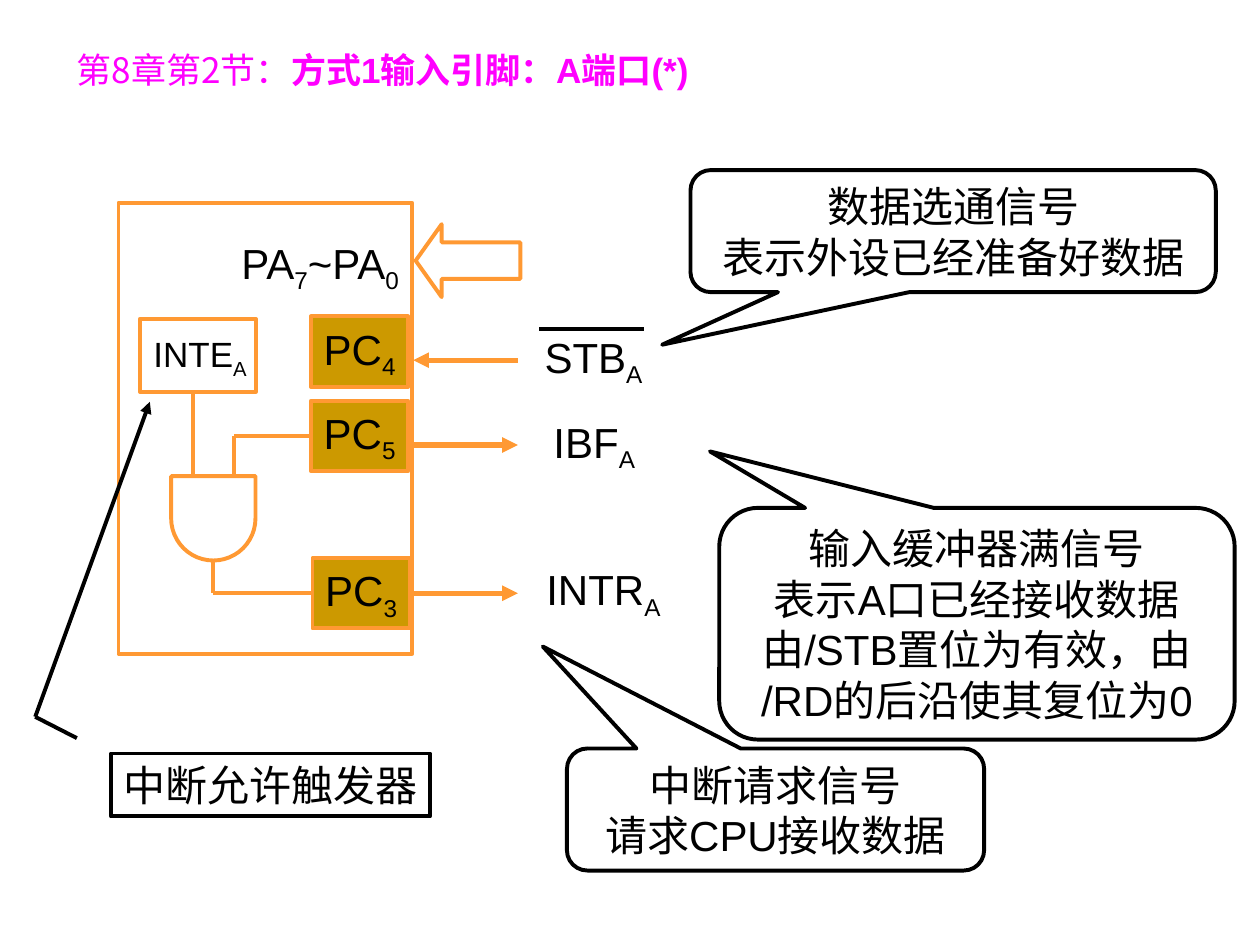
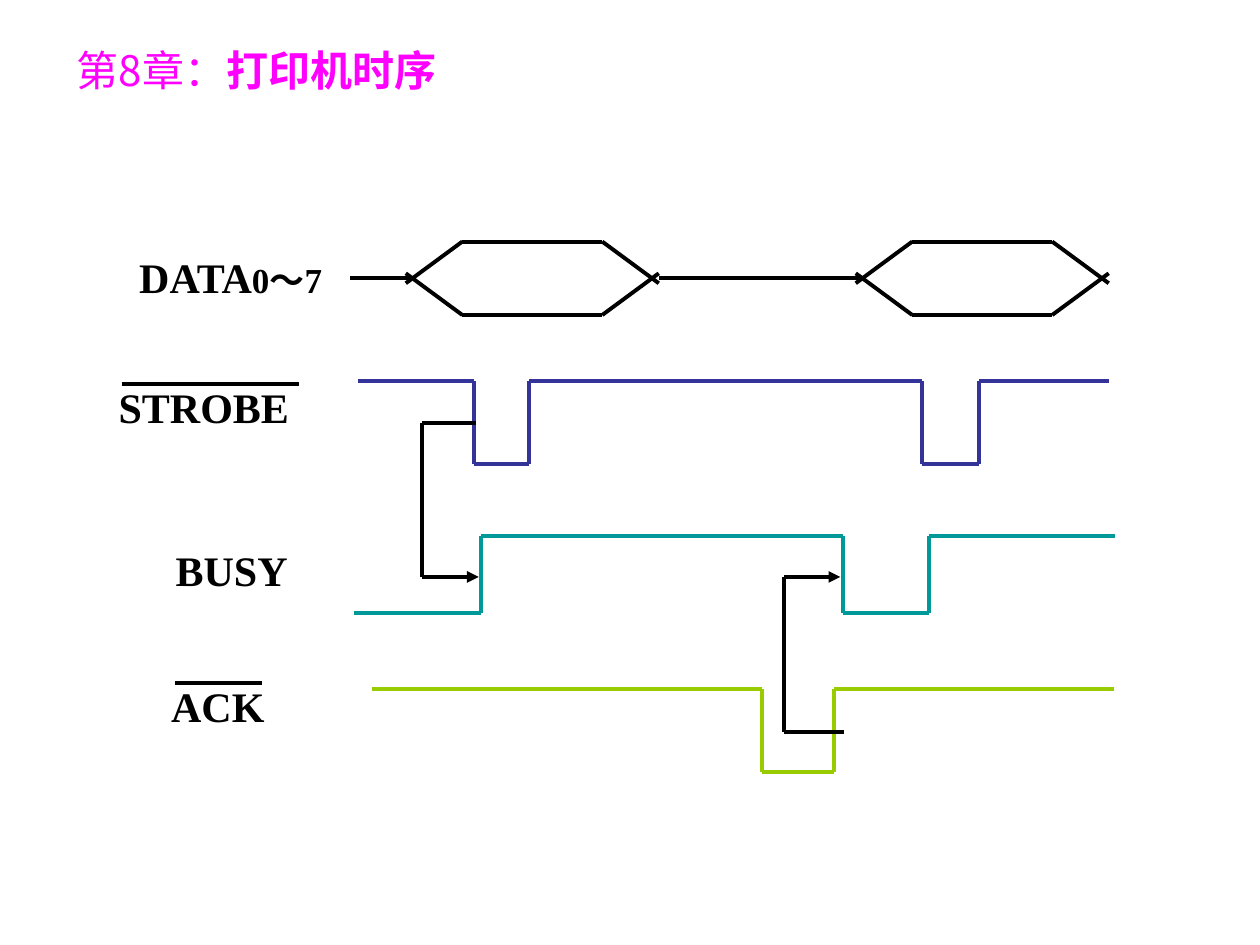
from itertools import pairwise

from lxml import etree
from pptx import Presentation
from pptx.dml.color import RGBColor
from pptx.enum.shapes import MSO_CONNECTOR, MSO_SHAPE
from pptx.enum.text import MSO_ANCHOR, PP_ALIGN
from pptx.oxml.ns import qn
from pptx.util import Cm, Pt

RECTANGLE = MSO_SHAPE.RECTANGLE
CALLOUT = MSO_SHAPE.ROUNDED_RECTANGULAR_CALLOUT
LEFT_ARROW = MSO_SHAPE.LEFT_ARROW
DELAY_GATE = MSO_SHAPE.FLOWCHART_DELAY
STRAIGHT = MSO_CONNECTOR.STRAIGHT
MIDDLE, TOP = MSO_ANCHOR.MIDDLE, MSO_ANCHOR.TOP
LEFT, CENTER, JUSTIFY = PP_ALIGN.LEFT, PP_ALIGN.CENTER, PP_ALIGN.JUSTIFY
LEFT_SITE, RIGHT_SITE = 1, 3

BLACK, WHITE, MAGENTA = "000000", "FFFFFF", "FF00FF"
ORANGE, GOLD = "FF9933", "CC9900"
INDIGO, TEAL, LIME = "333399", "009999", "99CC00"
CJK, SANS, SERIF = "Noto Sans CJK JP", "Arial", "Times New Roman"


def rgb(hex_color):
    return RGBColor.from_string(hex_color)


def add_run(paragraph, text, size, font=SANS, color=BLACK, bold=False, subscript=False):
    run = paragraph.add_run()
    run.text = text
    run.font.size = Pt(size)
    run.font.bold = bold
    run.font.color.rgb = rgb(color)
    run.font.name = font
    properties = run._r.get_or_add_rPr()
    etree.SubElement(properties, qn("a:ea")).set("typeface", CJK)
    if subscript:
        properties.set("baseline", "-25000")


def write_lines(shape, lines, size=24, alignment=CENTER):
    """Write unwrapped paragraphs; underscores switch subscript on and off."""
    frame = shape.text_frame
    frame.word_wrap = False
    frame.vertical_anchor = MIDDLE
    for index, line in enumerate(lines):
        paragraph = frame.add_paragraph() if index else frame.paragraphs[0]
        paragraph.alignment = alignment
        for part, text in enumerate(line.split("_")):
            add_run(paragraph, text, size, subscript=part % 2 == 1)


def add_text_box(slide, left, top, width, height):
    return slide.shapes.add_textbox(Cm(left), Cm(top), Cm(width), Cm(height))


def add_title(slide, chapter, topic, size, width):
    frame = add_text_box(slide, 1.3, 0.71, width, 1.4).text_frame
    frame.word_wrap = True
    frame.vertical_anchor = MIDDLE
    paragraph = frame.paragraphs[0]
    paragraph.alignment = JUSTIFY
    add_run(paragraph, chapter, size, CJK, MAGENTA)
    add_run(paragraph, topic, size, SANS, MAGENTA, bold=True)


def add_outline(slide, kind, left, top, width, height, color=BLACK, fill=None):
    shape = slide.shapes.add_shape(kind, Cm(left), Cm(top), Cm(width), Cm(height))
    shape.shadow.inherit = False
    shape.line.color.rgb = rgb(color)
    shape.line.width = Pt(2.25)
    if fill:
        shape.fill.solid()
        shape.fill.fore_color.rgb = rgb(fill)
    else:
        shape.fill.background()
    return shape


def add_callout(slide, left, top, width, height, tip, lines):
    callout = add_outline(slide, CALLOUT, left, top, width, height)
    for index, value in enumerate((*tip, 0.167)):
        callout.adjustments[index] = value
    write_lines(callout, lines)


def add_label(slide, left, top, width, height, text, size=24):
    """Add a centred label without side margins, so its subscript stays in line."""
    label = add_text_box(slide, left, top, width, height)
    label.text_frame.margin_left = label.text_frame.margin_right = Cm(0)
    write_lines(label, [text], size)


def add_pin(slide, left, top, text):
    pin = add_outline(slide, RECTANGLE, left, top, 1.96, 1.42, ORANGE, GOLD)
    write_lines(pin, [text])
    return pin


def add_line(slide, start, end, color=BLACK, weight=2.25, arrow=False):
    ends = (Cm(value) for value in (*start, *end))
    line = slide.shapes.add_connector(STRAIGHT, *ends)
    line.line.color.rgb = rgb(color)
    line.line.width = Pt(weight)
    properties = line._element.spPr
    if arrow:
        etree.SubElement(properties.find(qn("a:ln")), qn("a:tailEnd")).set("type", "triangle")
    etree.SubElement(properties, qn("a:effectLst"))
    return line


def add_path(slide, points, color=BLACK, arrow=False):
    """Join the points by straight lines, with an optional head on the last."""
    for start, end in pairwise(points):
        add_line(slide, start, end, color, arrow=arrow and end == points[-1])


def add_wave(slide, edges, first_level, second_level, color):
    """Draw a square wave that changes level at each inner edge."""
    points = []
    for index, (left, right) in enumerate(pairwise(edges)):
        level = second_level if index % 2 else first_level
        points += [(left, level), (right, level)]
    add_path(slide, points, color)


def add_bus_cell(slide, left):
    """Draw one valid-data hexagon whose slanted sides cross at both ends."""
    right, shoulder, middle, half_height, overshoot = left + 5.1, 1.14, 5.61, 0.74, 0.1
    for side in (-1, 1):
        flat = middle + side * half_height
        crossing = middle - side * overshoot
        add_path(slide, [(left, crossing), (left + shoulder, flat),
                         (right - shoulder, flat), (right, crossing)])


def add_signal_name(slide, left, top, width, height, *parts):
    frame = add_text_box(slide, left, top, width, height).text_frame
    frame.word_wrap = True
    frame.vertical_anchor = TOP
    frame.margin_left = frame.margin_right = Cm(0.03)
    frame.margin_top = frame.margin_bottom = Cm(0.03)
    paragraph = frame.paragraphs[0]
    paragraph.alignment = CENTER
    for text, size in parts:
        add_run(paragraph, text, size, SERIF, bold=True)


def build_port_slide(slide):
    add_title(slide, "第8章第2节：", "方式1输入引脚：A端口(*)", 20, 14.8)
    add_callout(slide, 13.92, 3.43, 10.59, 2.46, (-0.554, 0.931),
                ["数据选通信号", "表示外设已经准备好数据"])
    add_callout(slide, 14.5, 10.24, 10.39, 4.67, (-0.518, -0.744),
                ["输入缓冲器满信号", "表示A口已经接收数据",
                 "由/STB置位为有效，由", "/RD的后沿使其复位为0"])
    add_callout(slide, 11.43, 15.09, 8.41, 2.46, (-0.558, -1.336),
                ["中断请求信号", "请求CPU接收数据"])

    add_outline(slide, RECTANGLE, 2.39, 4.09, 5.92, 9.09, ORANGE, WHITE)
    add_pin(slide, 6.27, 6.38, "PC_4")
    pc5 = add_pin(slide, 6.27, 8.08, "PC_5")
    pc3 = add_pin(slide, 6.3, 11.25, "PC_3")
    data_arrow = add_outline(slide, LEFT_ARROW, 8.38, 4.52, 2.11, 1.47, ORANGE)
    data_arrow.adjustments[1] = 0.357
    gate = add_outline(slide, DELAY_GATE, 3.45, 9.6, 1.7, 1.7, ORANGE)
    gate.rotation = 90
    add_outline(slide, RECTANGLE, 2.82, 6.43, 2.34, 1.47, ORANGE)

    add_label(slide, 4.55, 4.65, 3.81, 1.42, "PA_7_~PA_0")
    add_label(slide, 2.84, 6.58, 2.39, 1.22, "INTE_A", 20)
    add_label(slide, 10.72, 6.55, 2.49, 1.42, "STB_A")
    add_label(slide, 10.9, 8.26, 2.16, 1.42, "IBF_A")
    add_label(slide, 10.77, 11.23, 2.79, 1.42, "INTR_A")
    add_line(slide, (10.87, 6.63), (12.98, 6.63))

    pc5_middle, pc3_middle = 8.79, 11.96
    add_line(slide, (3.89, 7.9), (3.89, 9.6), ORANGE)
    add_line(slide, (4.72, pc5_middle), (4.72, 9.6), ORANGE)
    add_line(slide, (4.29, 11.28), (4.29, pc3_middle), ORANGE)
    pc5_wire = add_line(slide, (4.72, pc5_middle), (6.27, pc5_middle), ORANGE)
    pc5_wire.end_connect(pc5, LEFT_SITE)
    pc3_wire = add_line(slide, (4.29, pc3_middle), (6.3, pc3_middle), ORANGE)
    pc3_wire.end_connect(pc3, LEFT_SITE)

    add_line(slide, (10.44, 7.26), (8.33, 7.26), ORANGE, 3, arrow=True)
    add_line(slide, (8.33, 8.97), (10.44, 8.97), ORANGE, 3, arrow=True)
    request = add_line(slide, (8.26, pc3_middle), (10.44, pc3_middle), ORANGE, 3, arrow=True)
    request.begin_connect(pc3, RIGHT_SITE)

    trigger = add_outline(slide, RECTANGLE, 2.24, 15.19, 6.43, 1.27)
    write_lines(trigger, ["中断允许触发器"], alignment=LEFT)
    add_path(slide, [(1.55, 14.88), (0.71, 14.45), (3.02, 8.1)], arrow=True)


def build_timing_slide(slide):
    add_title(slide, "第8章：", "打印机时序", 24, 22.86)
    add_line(slide, (7.06, 5.61), (8.28, 5.61))
    add_line(slide, (13.28, 5.61), (17.42, 5.61))
    for left in (8.18, 17.25):
        add_bus_cell(slide, left)

    add_wave(slide, [7.21, 9.55, 10.67, 18.59, 19.74, 22.35], 7.68, 9.35, INDIGO)
    add_wave(slide, [7.14, 9.7, 16.99, 18.72, 22.48], 12.36, 10.8, TEAL)
    add_wave(slide, [7.49, 15.37, 16.81, 22.45], 13.89, 15.57, LIME)

    busy_edge = 11.63
    add_path(slide, [(9.6, 8.53), (8.51, 8.53), (8.51, busy_edge), (9.65, busy_edge)],
             arrow=True)
    add_path(slide, [(17.02, 14.75), (15.8, 14.75), (15.8, busy_edge), (16.94, busy_edge)],
             arrow=True)

    add_signal_name(slide, 2.11, 5.05, 5.08, 1.68, ("DATA", 24), ("0～7", 20))
    add_signal_name(slide, 2.08, 7.67, 4.06, 1.09, ("STROBE", 24))
    add_signal_name(slide, 2.64, 10.95, 4.06, 1.22, ("BUSY", 24))
    add_signal_name(slide, 2.36, 13.69, 4.06, 1.22, ("ACK", 24))
    add_line(slide, (2.46, 7.75), (6.02, 7.75))
    add_line(slide, (3.53, 13.77), (5.28, 13.77))


def main():
    presentation = Presentation()
    presentation.slide_width, presentation.slide_height = Cm(25.4), Cm(19.05)
    blank = presentation.slide_layouts[6]
    for build in (build_port_slide, build_timing_slide):
        build(presentation.slides.add_slide(blank))
    presentation.save("out.pptx")


if __name__ == "__main__":
    main()
